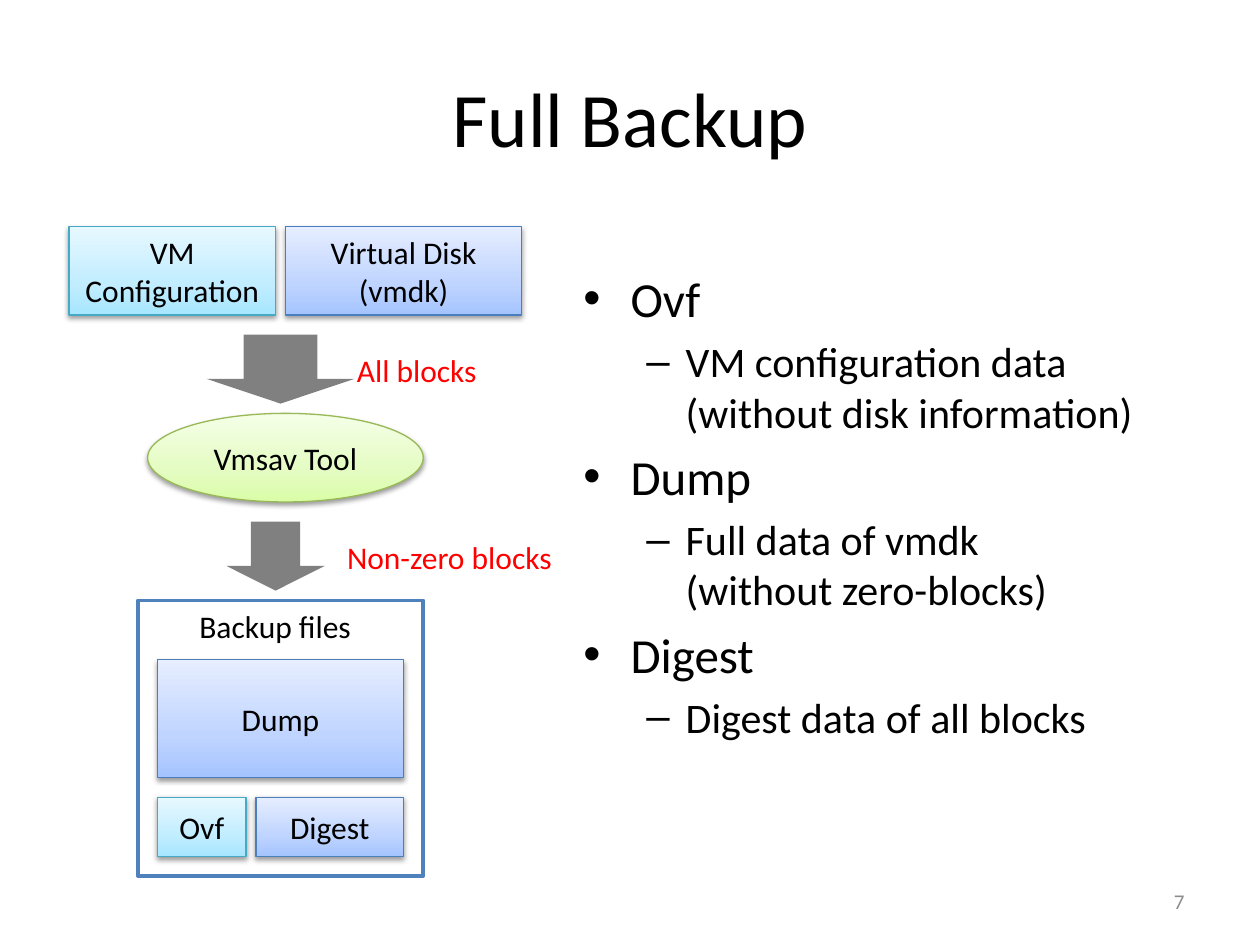
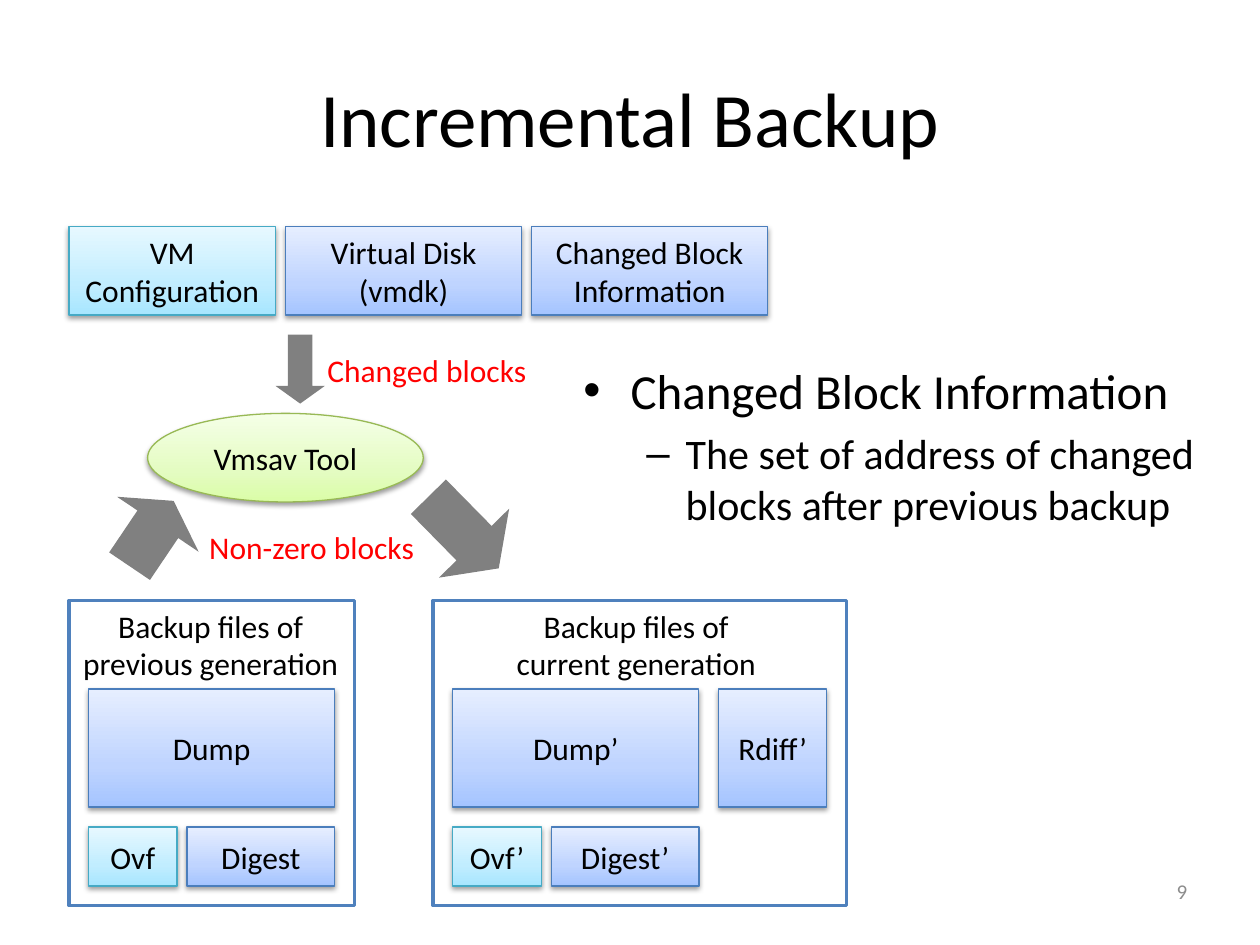
from dataclasses import dataclass

from lxml import etree
from pptx import Presentation
from pptx.dml.color import RGBColor
from pptx.enum.shapes import MSO_SHAPE
from pptx.enum.text import MSO_ANCHOR, MSO_AUTO_SIZE, PP_ALIGN
from pptx.oxml.ns import qn
from pptx.util import Pt


# ---- Theme and data types ----
@dataclass(frozen=True)
class Tint:
    stops: tuple  # (position in percent, colour), from bottom to top
    line: str


@dataclass(frozen=True)
class Theme:
    font: str = "Calibri"
    text: str = "000000"
    accent: str = "FF0000"
    muted: str = "8C8C8C"
    arrow: str = "808080"
    frame: str = "4F81BD"
    title_size: int = 44
    bullet_sizes: tuple = (28, 24)
    label_size: int = 18
    number_size: int = 12
    blue: Tint = Tint(((0, "A4C4FF"), (35, "BFD4FF"), (100, "E6EEFF")), "4B7EBC")
    cyan: Tint = Tint(((0, "A7E6FF"), (35, "C1EDFF"), (100, "E7F8FF")), "46AAC5")
    green: Tint = Tint(((0, "DAFDA7"), (35, "E4FCC2"), (100, "F5FFE7")), "98B955")


THEME = Theme()
GRID = 45 / 8  # points per diagram grid unit


@dataclass(frozen=True)
class Node:
    """A filled box or ellipse, in grid units."""
    text: str
    x: float
    y: float
    w: float
    h: float
    tint: Tint = THEME.blue
    kind: MSO_SHAPE = MSO_SHAPE.RECTANGLE


@dataclass(frozen=True)
class Arrow:
    """A down arrow, in grid units, turned clockwise."""
    x: float
    y: float
    w: float
    h: float
    rotation: float = 0


@dataclass(frozen=True)
class Label:
    """Unwrapped text: corner in grid units, width in points."""
    text: str
    x: float
    y: float
    width: float
    color: str = THEME.accent
    align: PP_ALIGN = PP_ALIGN.LEFT


@dataclass(frozen=True)
class BackupSet:
    """A framed group of backup files; x and w in grid units."""
    caption: Label
    x: float
    w: float
    mark: str = ""
    rdiff: bool = False


@dataclass(frozen=True)
class Bullet:
    text: str
    level: int = 0


@dataclass(frozen=True)
class Page:
    title: str
    number: str
    number_at: tuple  # left and top, points
    bullets: tuple
    bullets_top: float  # points
    bullets_height: float
    nodes: tuple
    arrows: tuple
    labels: tuple
    sets: tuple


# ---- Drawing helpers ----
def units(*values: float) -> list:
    return [Pt(value * GRID) for value in values]


def rgb(color: str) -> RGBColor:
    return RGBColor.from_string(color)


def write(paragraph, text: str, size: float, color: str, align=PP_ALIGN.LEFT) -> None:
    paragraph.text = text
    paragraph.alignment = align
    for run in paragraph.runs:
        run.font.name = THEME.font
        run.font.size = Pt(size)
        run.font.color.rgb = rgb(color)


def write_lines(frame, text: str, color: str, align) -> None:
    for i, line in enumerate(text.split("\n")):
        paragraph = frame.add_paragraph() if i else frame.paragraphs[0]
        write(paragraph, line, THEME.label_size, color, align)


def add_gradient(shape, tint: Tint) -> None:
    shape.fill.gradient()
    shape.fill.gradient_angle = 90
    stops = shape._element.spPr.find(qn("a:gradFill")).find(qn("a:gsLst"))
    for stop in list(stops):
        stops.remove(stop)
    for position, color in tint.stops:
        stop = etree.SubElement(stops, qn("a:gs"), pos=str(position * 1000))
        etree.SubElement(stop, qn("a:srgbClr"), val=color)


def add_shadow(shape) -> None:
    shape.shadow.inherit = False
    effects = shape._element.spPr.find(qn("a:effectLst"))
    shadow = etree.SubElement(effects, qn("a:outerShdw"), blurRad=str(Pt(3.1)),
                              dist=str(Pt(1.6)), dir="5400000", rotWithShape="0")
    color = etree.SubElement(shadow, qn("a:srgbClr"), val="000000")
    etree.SubElement(color, qn("a:alpha"), val="38000")


def draw_node(slide, node: Node) -> None:
    shape = slide.shapes.add_shape(node.kind, *units(node.x, node.y, node.w, node.h))
    add_gradient(shape, node.tint)
    shape.line.color.rgb = rgb(node.tint.line)
    shape.line.width = Pt(0.75)
    add_shadow(shape)
    frame = shape.text_frame
    frame.word_wrap = True
    frame.vertical_anchor = MSO_ANCHOR.MIDDLE
    write_lines(frame, node.text, THEME.text, PP_ALIGN.CENTER)


def draw_arrow(slide, arrow: Arrow) -> None:
    shape = slide.shapes.add_shape(
        MSO_SHAPE.DOWN_ARROW, *units(arrow.x, arrow.y, arrow.w, arrow.h))
    shape.adjustments[0] = 0.5
    shape.adjustments[1] = 0.358
    shape.rotation = arrow.rotation
    shape.fill.solid()
    shape.fill.fore_color.rgb = rgb(THEME.arrow)
    shape.line.fill.background()
    shape.shadow.inherit = False


def draw_label(slide, label: Label) -> None:
    lines = label.text.count("\n") + 1
    box = slide.shapes.add_textbox(
        *units(label.x, label.y), Pt(label.width), Pt(7.2 + 22 * lines))
    box.text_frame.word_wrap = False
    box.text_frame.auto_size = MSO_AUTO_SIZE.SHAPE_TO_FIT_TEXT
    write_lines(box.text_frame, label.text, label.color, label.align)


def draw_backup_set(slide, group: BackupSet) -> None:
    top = 61
    header = 9 if "\n" in group.caption.text else 6
    frame = slide.shapes.add_shape(
        MSO_SHAPE.RECTANGLE, *units(group.x, top, group.w, header + 22))
    frame.fill.background()
    frame.line.color.rgb = rgb(THEME.frame)
    frame.line.width = Pt(2)
    frame.shadow.inherit = False
    draw_label(slide, group.caption)

    left, dump_top = group.x + 2, top + header
    files = [
        Node("Dump" + group.mark, left, dump_top, 25, 12),
        Node("Ovf" + group.mark, left, dump_top + 14, 9, 6, THEME.cyan),
        Node("Digest" + group.mark, left + 10, dump_top + 14, 15, 6),
    ]
    if group.rdiff:
        files.append(Node("Rdiff" + group.mark, left + 27, dump_top, 11, 12))
    for file in files:
        draw_node(slide, file)


def draw_bullets(slide, page: Page) -> None:
    box = slide.shapes.add_textbox(Pt(326.25), Pt(page.bullets_top),
                                   Pt(371.25), Pt(page.bullets_height))
    frame = box.text_frame
    frame.word_wrap = True
    for i, bullet in enumerate(page.bullets):
        paragraph = frame.add_paragraph() if i else frame.paragraphs[0]
        size = THEME.bullet_sizes[bullet.level]
        write(paragraph, bullet.text, size, THEME.text)
        paragraph.level = bullet.level
        paragraph.space_before = Pt(0.2 * size)
        margin, hanging, mark = ((27, 27, "•"), (58.5, 22.5, "–"))[bullet.level]
        properties = paragraph._p.get_or_add_pPr()
        properties.set("marL", str(Pt(margin)))
        properties.set("indent", str(-Pt(hanging)))
        etree.SubElement(properties, qn("a:buFont"), typeface="Arial")
        etree.SubElement(properties, qn("a:buChar"), char=mark)


def draw_page(deck, page: Page) -> None:
    slide = deck.slides.add_slide(deck.slide_layouts[5])

    # Title
    title = slide.shapes.title
    title.left, title.top, title.width, title.height = Pt(36), Pt(21.6), Pt(648), Pt(90)
    title.text_frame.vertical_anchor = MSO_ANCHOR.MIDDLE
    write(title.text_frame.paragraphs[0], page.title, THEME.title_size,
          THEME.text, PP_ALIGN.CENTER)

    # Explanation and page number
    draw_bullets(slide, page)
    left, top = page.number_at
    number = slide.shapes.add_textbox(Pt(left), Pt(top), Pt(168), Pt(28.8))
    number.text_frame.word_wrap = True
    number.text_frame.vertical_anchor = MSO_ANCHOR.MIDDLE
    write(number.text_frame.paragraphs[0], page.number, THEME.number_size,
          THEME.muted, PP_ALIGN.RIGHT)

    # Diagram
    for arrow in page.arrows:
        draw_arrow(slide, arrow)
    for node in page.nodes:
        draw_node(slide, node)
    for group in page.sets:
        draw_backup_set(slide, group)
    for label in page.labels:
        draw_label(slide, label)


# ---- Content ----
COMMON_NODES = (
    Node("VM Configuration", 7, 23, 21, 9, THEME.cyan),
    Node("Virtual Disk\n(vmdk)", 29, 23, 24, 9),
    Node("Vmsav Tool", 15, 42, 28, 9, THEME.green, MSO_SHAPE.OVAL),
)

PAGES = (
    Page(
        title="Full Backup", number="7", number_at=(516, 500.4),
        bullets=(
            Bullet("Ovf"),
            Bullet("VM configuration data\n(without disk information)", 1),
            Bullet("Dump"),
            Bullet("Full data of vmdk\n(without zero-blocks)", 1),
            Bullet("Digest"),
            Bullet("Digest data of all blocks", 1),
        ),
        bullets_top=149.8, bullets_height=322.5,
        nodes=COMMON_NODES,
        arrows=(Arrow(21, 34, 15, 7), Arrow(23, 53, 10, 7)),
        labels=(Label("All blocks", 35, 35, 83.5),
                Label("Non-zero blocks", 34, 54, 132.5)),
        sets=(BackupSet(Label("Backup files", 19, 61, 102, THEME.text), 14, 29),),
    ),
    Page(
        title="Incremental Backup", number="9", number_at=(517.5, 495),
        bullets=(
            Bullet("Changed Block Information"),
            Bullet("The set of address of changed blocks after previous backup", 1),
        ),
        bullets_top=202.5, bullets_height=118,
        nodes=COMMON_NODES + (Node("Changed Block\nInformation", 54, 23, 24, 9),),
        arrows=(Arrow(28, 34, 5, 7), Arrow(10.4, 50.2, 10, 8, 214),
                Arrow(42.1, 49, 10, 10.2, 315.5)),
        labels=(Label("Changed blocks", 32, 35, 129.6),
                Label("Non-zero blocks", 20, 53, 132.5)),
        sets=(
            BackupSet(Label("Backup files of\nprevious generation", 7, 61, 162,
                            THEME.text, PP_ALIGN.CENTER), 7, 29),
            BackupSet(Label("Backup files of\ncurrent generation", 51, 61, 153.4,
                            THEME.text, PP_ALIGN.CENTER), 44, 42, "’", True),
        ),
    ),
)

presentation = Presentation()
presentation.slide_width, presentation.slide_height = Pt(720), Pt(540)
for content in PAGES:
    draw_page(presentation, content)
presentation.save("out.pptx")
